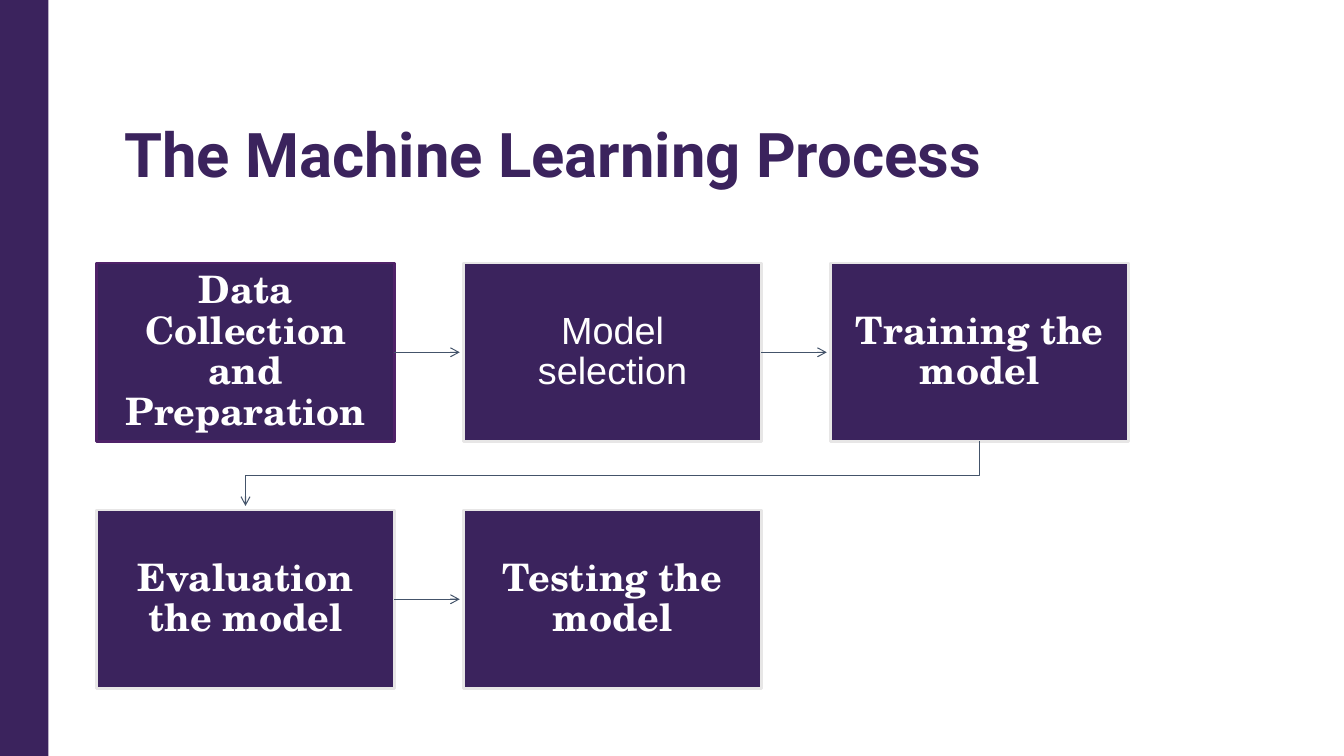
import pptx
import pptx.dml.color
import pptx.enum.shapes
import pptx.enum.text
import pptx.oxml
import pptx.oxml.ns
import pptx.util

PURPLE, WHITE, SLATE = "3B235D", "FFFFFF", "44546A"
PLUM, LIGHT_GREY = "4F2268", "E7E6E6"


def color(hex_string):
    return pptx.dml.color.RGBColor.from_string(hex_string)


class ProcessSlide:
    """Style, grid and drawing methods of the process slide."""

    LEFT, TOP = 0.96, 2.61
    BOX_WIDTH, BOX_HEIGHT = 2.95, 1.77
    COLUMN_STEP, ROW_STEP = 3.64, 2.45
    ARROW_GAP = 0.04
    INSET = 0.21

    def __init__(self, presentation):
        self.slide = presentation.slides.add_slide(presentation.slide_layouts[5])
        self.height = presentation.slide_height

    def cell(self, column, row):
        """Left and top of a grid cell, in inches."""
        return self.LEFT + column * self.COLUMN_STEP, self.TOP + row * self.ROW_STEP

    def format_text(self, text_frame, size, font, hex_string, bold, alignment, insets):
        text_frame.word_wrap = True
        text_frame.auto_size = pptx.enum.text.MSO_AUTO_SIZE.NONE
        text_frame.vertical_anchor = pptx.enum.text.MSO_ANCHOR.MIDDLE
        horizontal, vertical = map(pptx.util.Inches, insets)
        text_frame.margin_left = text_frame.margin_right = horizontal
        text_frame.margin_top = text_frame.margin_bottom = vertical
        for paragraph in text_frame.paragraphs:
            paragraph.alignment = alignment
            paragraph.line_spacing = 0.9
            for run in paragraph.runs:
                run.font.size = pptx.util.Pt(size)
                run.font.name = font
                run.font.bold = bold
                run.font.color.rgb = color(hex_string)

    def rectangle(self, left, top, width, height):
        shape = self.slide.shapes.add_shape(
            pptx.enum.shapes.MSO_SHAPE.RECTANGLE, left, top, width, height)
        shape.shadow.inherit = False
        shape.fill.solid()
        shape.fill.fore_color.rgb = color(PURPLE)
        return shape

    def side_band(self, width):
        band = self.rectangle(0, 0, pptx.util.Inches(width), self.height)
        band.line.fill.background()

    def title(self, text):
        title = self.slide.shapes.title
        title.left, title.top = pptx.util.Inches(1.13), pptx.util.Inches(0.84)
        title.width, title.height = pptx.util.Inches(11.5), pptx.util.Inches(1.45)
        title.text_frame.text = text
        self.format_text(title.text_frame, 44, "Roboto", PURPLE, True,
                         pptx.enum.text.PP_ALIGN.LEFT, (0.1, 0.05))

    def step(self, text, column, row, font="TeX Gyre Schola", bold=True, outline=LIGHT_GREY):
        lengths = (*self.cell(column, row), self.BOX_WIDTH, self.BOX_HEIGHT)
        box = self.rectangle(*map(pptx.util.Inches, lengths))
        box.line.color.rgb = color(outline)
        box.line.width = pptx.util.Pt(2)
        box.text_frame.text = text
        self.format_text(box.text_frame, 27, font, WHITE, bold,
                         pptx.enum.text.PP_ALIGN.CENTER, (self.INSET, self.INSET))
        return box

    def arrow_line(self, line):
        line.color.rgb = color(SLATE)
        line.width = pptx.util.Pt(0.75)
        line_element = line._get_or_add_ln()
        line_element.append(pptx.oxml.parse_xml(
            f'<a:tailEnd {pptx.oxml.ns.nsdecls("a")} type="arrow"/>'))

    def arrow(self, source, target):
        """Straight arrow that stops just short of the next box."""
        middle = source.top + source.height // 2
        connector = self.slide.shapes.add_connector(
            pptx.enum.shapes.MSO_CONNECTOR.STRAIGHT, source.left + source.width, middle,
            target.left - pptx.util.Inches(self.ARROW_GAP), middle)
        connector.begin_connect(source, 3)
        connector._element.spPr.append(pptx.oxml.parse_xml(
            f'<a:effectLst {pptx.oxml.ns.nsdecls("a")}/>'))
        self.arrow_line(connector.line)

    def return_arrow(self, source, target):
        """Bent arrow from the end of one row to the start of the next."""
        start_x = source.left + source.width // 2
        end_x = target.left + target.width // 2
        bottom = source.top + source.height
        bend = (bottom + target.top) // 2
        end_y = target.top - pptx.util.Inches(self.ARROW_GAP)
        builder = self.slide.shapes.build_freeform(start_x, bottom)
        builder.add_line_segments(
            [(start_x, bend), (end_x, bend), (end_x, end_y)], close=False)
        shape = builder.convert_to_shape()
        shape.shadow.inherit = False
        shape.fill.background()
        self.arrow_line(shape.line)


def main():
    presentation = pptx.Presentation()
    presentation.slide_width = pptx.util.Inches(13.33)
    presentation.slide_height = pptx.util.Inches(7.5)
    process = ProcessSlide(presentation)

    # Frame and title
    process.side_band(0.48)
    process.title("The Machine Learning Process")

    # Steps of the process
    collection = process.step("Data Collection and Preparation", 0, 0, outline=PLUM)
    selection = process.step("Model selection", 1, 0, font="Arial", bold=False)
    training = process.step("Training the model", 2, 0)
    evaluation = process.step("Evaluation the model", 0, 1)
    testing = process.step("Testing the model", 1, 1)

    # Arrows between the steps
    for source, target in ((collection, selection), (selection, training),
                           (evaluation, testing)):
        process.arrow(source, target)
    process.return_arrow(training, evaluation)

    presentation.save("out.pptx")


if __name__ == "__main__":
    main()
